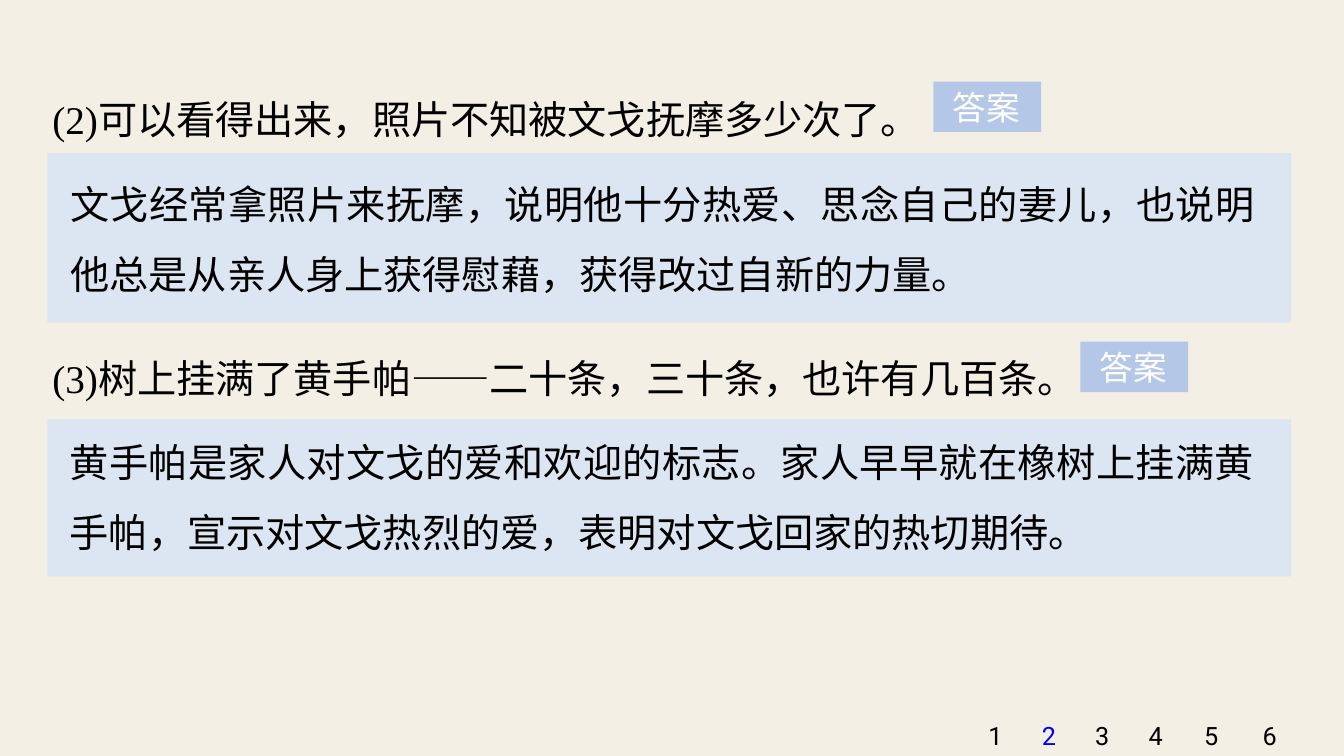
from dataclasses import dataclass

from pptx import Presentation
from pptx.dml.color import RGBColor
from pptx.enum.shapes import MSO_SHAPE
from pptx.enum.text import MSO_ANCHOR, MSO_AUTO_SIZE, PP_ALIGN
from pptx.shapes.autoshape import Shape
from pptx.slide import Slide
from pptx.util import Pt

CREAM = RGBColor(0xF3, 0xEF, 0xE5)
PALE_BLUE = RGBColor(0xDC, 0xE6, 0xF2)
BUTTON_BLUE = RGBColor(0xB4, 0xC7, 0xE7)
BLACK = RGBColor(0x00, 0x00, 0x00)
WHITE = RGBColor(0xFF, 0xFF, 0xFF)
CURRENT_BLUE = RGBColor(0x00, 0x00, 0xFF)

BOX_MARGINS = {
    "margin_left": Pt(9.36),
    "margin_right": Pt(9.36),
    "margin_top": Pt(5.04),
    "margin_bottom": Pt(5.04),
}
BODY_FRAME = BOX_MARGINS | {"word_wrap": True, "auto_size": MSO_AUTO_SIZE.SHAPE_TO_FIT_TEXT}
BODY_PARAGRAPH = {"alignment": PP_ALIGN.JUSTIFY, "line_spacing": 1.5}
BODY_FONT = {"name": "Times New Roman", "size": Pt(28)}
BUTTON_FRAME = {
    "margin_left": Pt(13.9),
    "word_wrap": True,
    "auto_size": MSO_AUTO_SIZE.SHAPE_TO_FIT_TEXT,
    "vertical_anchor": MSO_ANCHOR.TOP,
}
BUTTON_PARAGRAPH = {"alignment": PP_ALIGN.LEFT}
BUTTON_FONT = {"name": "Arial", "size": Pt(24)}
PAGE_FRAME = BOX_MARGINS | {"word_wrap": False, "vertical_anchor": MSO_ANCHOR.MIDDLE}
PAGE_PARAGRAPH = {"alignment": PP_ALIGN.CENTER}
PAGE_FONT = {"name": "Roboto", "size": Pt(18)}

CURRENT_PAGE = 2
PAGE_LEFTS = (695.5, 733.7, 771.8, 810, 849.6, 891.4)


@dataclass(frozen=True)
class Box:
    left: float
    top: float
    width: float
    height: float


@dataclass(frozen=True)
class Question:
    text: str
    text_box: Box
    button: Box
    answer: str
    panel: Box
    answer_box: Box


QUESTIONS = (
    Question(
        "(2)可以看得出来，照片不知被文戈抚摩多少次了。",
        Box(28.1, 46.1, 882.7, 54),
        Box(666.7, 58.3, 77, 36),
        "文戈经常拿照片来抚摩，说明他十分热爱、思念自己的妻儿，也说明他总是从亲人身上获得慰藉，获得改过自新的力量。",
        Box(33.8, 109.4, 888.5, 121),
        Box(41, 106.6, 865.4, 105.1),
    ),
    Question(
        "(3)树上挂满了黄手帕——二十条，三十条，也许有几百条。",
        Box(28.1, 231.1, 882.7, 54),
        Box(771.8, 244.1, 77, 36),
        "黄手帕是家人对文戈的爱和欢迎的标志。家人早早就在橡树上挂满黄手帕，宣示对文戈热烈的爱，表明对文戈回家的热切期待。",
        Box(33.8, 299.5, 888.5, 112.3),
        Box(40.5, 290.9, 865.4, 105.1),
    ),
)


def apply_format(target: object, values: dict) -> None:
    for name, value in values.items():
        setattr(target, name, value)


def write_text(shape: Shape, text: str, color: RGBColor,
               frame_format: dict, paragraph_format: dict, font_format: dict) -> None:
    apply_format(shape.text_frame, frame_format)
    paragraph = shape.text_frame.paragraphs[0]
    apply_format(paragraph, paragraph_format)
    run = paragraph.add_run()
    run.text = text
    apply_format(run.font, font_format)
    run.font.color.rgb = color


def add_text(slide: Slide, box: Box) -> Shape:
    return slide.shapes.add_textbox(Pt(box.left), Pt(box.top), Pt(box.width), Pt(box.height))


def add_rectangle(slide: Slide, box: Box, color: RGBColor) -> Shape:
    shape = slide.shapes.add_shape(
        MSO_SHAPE.RECTANGLE, Pt(box.left), Pt(box.top), Pt(box.width), Pt(box.height))
    shape.shadow.inherit = False
    shape.fill.solid()
    shape.fill.fore_color.rgb = color
    shape.line.fill.background()
    return shape


def add_question(slide: Slide, question: Question) -> None:
    body = (BLACK, BODY_FRAME, BODY_PARAGRAPH, BODY_FONT)
    write_text(add_text(slide, question.text_box), question.text, *body)
    button = add_rectangle(slide, question.button, BUTTON_BLUE)
    write_text(button, "答案", WHITE, BUTTON_FRAME, BUTTON_PARAGRAPH, BUTTON_FONT)
    add_rectangle(slide, question.panel, PALE_BLUE)
    write_text(add_text(slide, question.answer_box), question.answer, *body)


def add_page_number(slide: Slide, number: int, left: float) -> None:
    color = CURRENT_BLUE if number == CURRENT_PAGE else BLACK
    shape = add_text(slide, Box(left, 502.6, 31, 45.4))
    write_text(shape, str(number), color, PAGE_FRAME, PAGE_PARAGRAPH, PAGE_FONT)


def main() -> None:
    presentation = Presentation()
    presentation.slide_width = Pt(960)
    presentation.slide_height = Pt(540)
    slide = presentation.slides.add_slide(presentation.slide_layouts[6])
    slide.background.fill.solid()
    slide.background.fill.fore_color.rgb = CREAM
    for question in QUESTIONS:
        add_question(slide, question)
    for number, left in enumerate(PAGE_LEFTS, start=1):
        add_page_number(slide, number, left)
    presentation.save("out.pptx")


if __name__ == "__main__":
    main()
